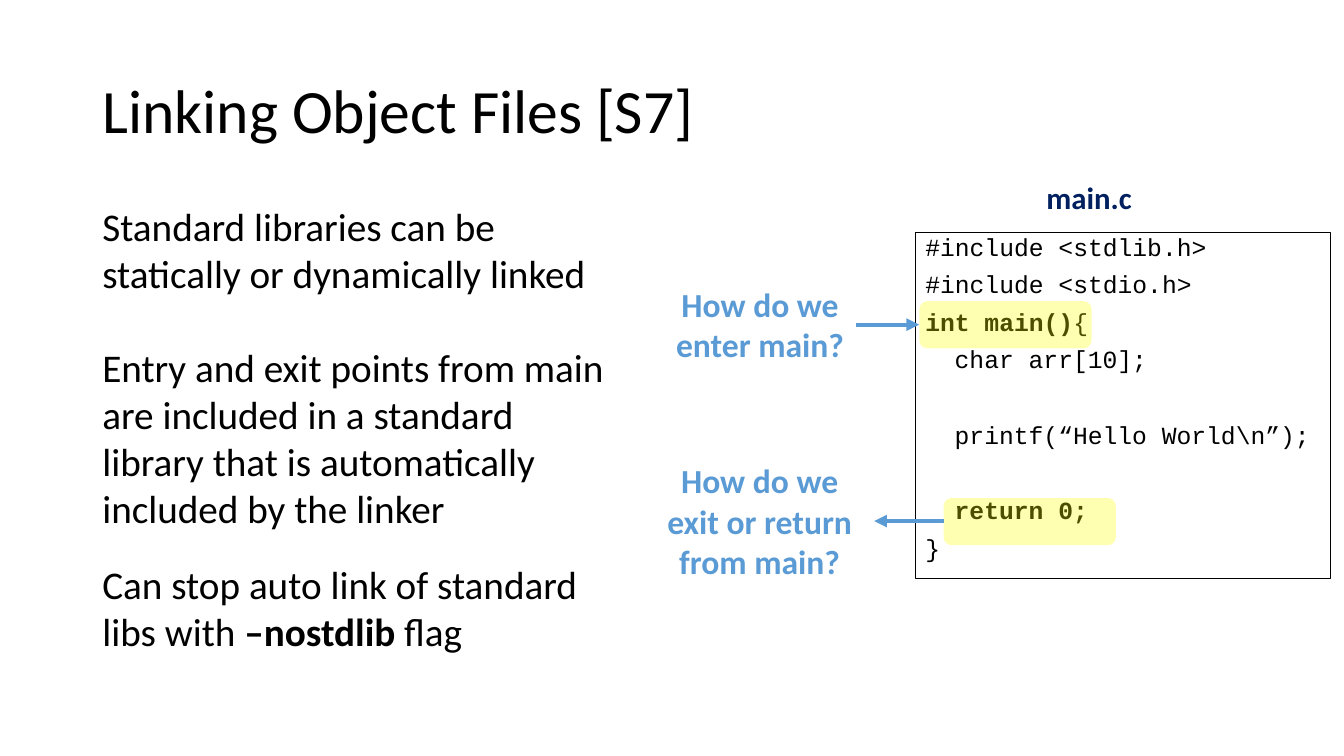
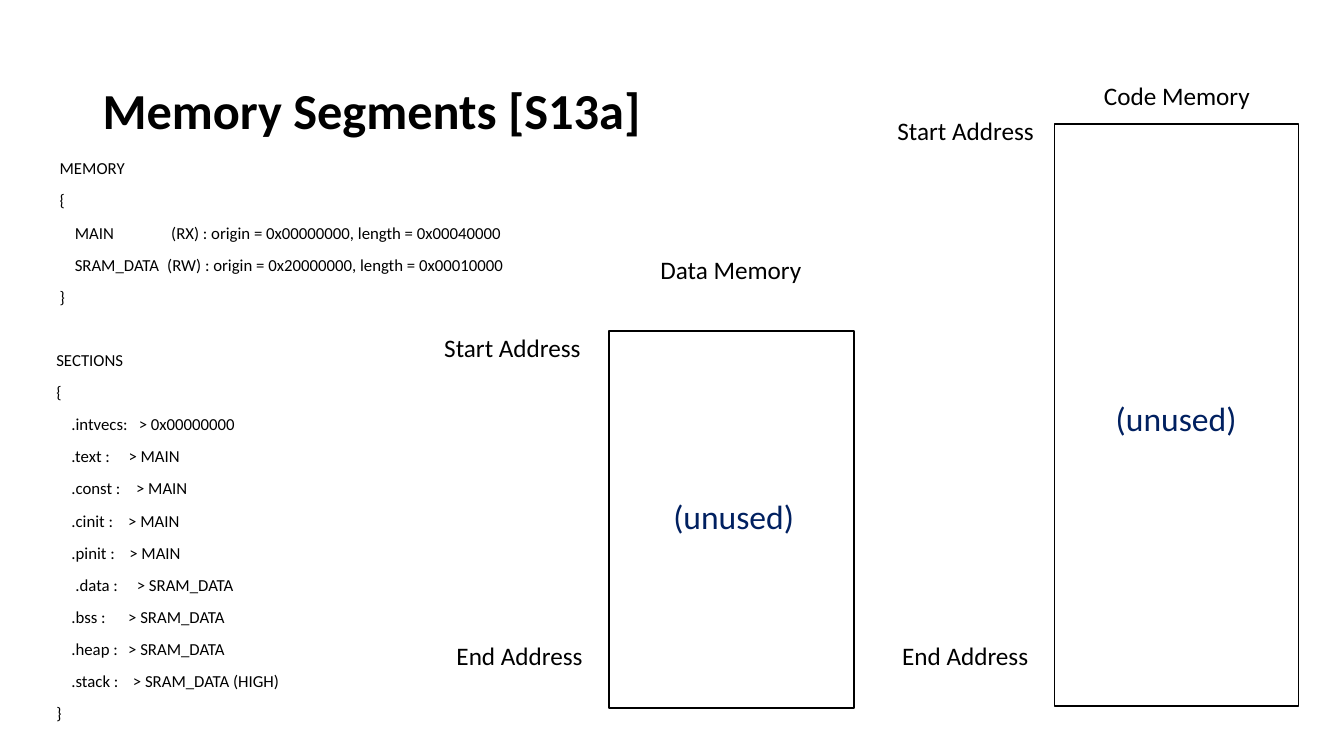
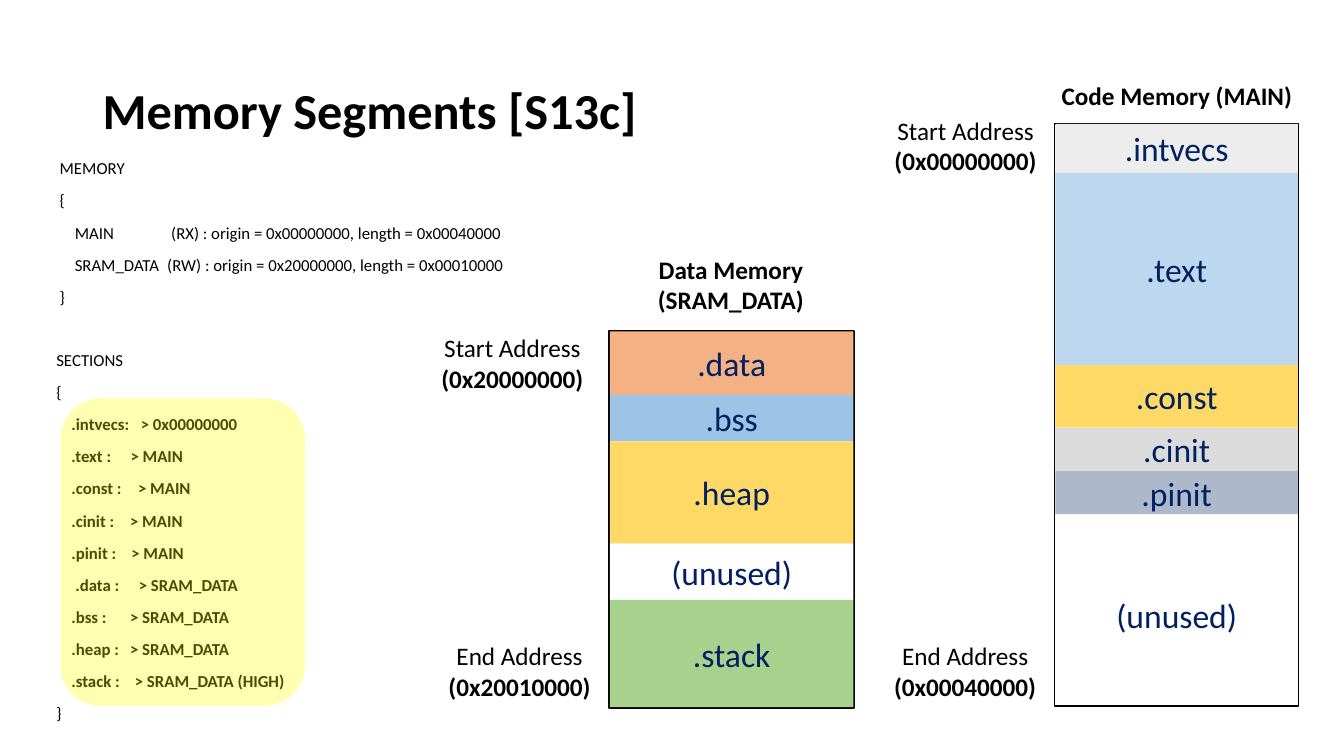
"""Build three slides on linking object files and memory segments."""
from lxml.etree import SubElement
from pptx import Presentation
from pptx.dml.color import RGBColor
from pptx.enum.shapes import MSO_CONNECTOR, MSO_SHAPE
from pptx.enum.text import MSO_ANCHOR, MSO_AUTO_SIZE, PP_ALIGN
from pptx.oxml.ns import qn
from pptx.util import Cm, Pt

COLORS = {
    "black": "000000", "white": "FFFFFF", "navy": "002060", "blue": "5B9BD5",
    "yellow": "FFFF00", "orange": "F4B183", "sky": "9DC3E6", "gold": "FFD966",
    "green": "A9D18E", "pale blue": "BDD7EE", "pale gray": "EDEDED",
    "gray": "DBDBDB", "slate": "ADB9CA",
}
CENTER = PP_ALIGN.CENTER


def write(frame, text, size=18, color="black", bold=False, font="Calibri",
          align=PP_ALIGN.LEFT, spacing=None, before=0, indent=0, hang=0):
    """Add a paragraph of a string or (text, bold) pairs; a tab leads to the hang."""
    paragraph = frame.add_paragraph() if frame.text else frame.paragraphs[0]
    paragraph.alignment = align
    paragraph.space_before = Pt(before)
    if spacing:
        paragraph.line_spacing = spacing
    margin = Cm(hang or indent)
    properties = paragraph._p.get_or_add_pPr()
    properties.set("marL", str(margin))
    properties.set("indent", str(Cm(indent) - margin))
    SubElement(properties, qn("a:buNone"))
    for words, strong in [(text, bold)] if isinstance(text, str) else text:
        span = paragraph.add_run()
        span.text = words
        span.font.name = font
        span.font.size = Pt(size)
        span.font.bold = strong
        span.font.color.rgb = RGBColor.from_string(COLORS[color])


def add_box(page, left, top, width, height, shape=None, fill=None, line=None,
            opacity=None, anchor=MSO_ANCHOR.TOP):
    """Add a text box, or a preset shape with the given fill and line."""
    place = [Cm(length) for length in (left, top, width, height)]
    if shape is None:
        box = page.shapes.add_textbox(*place)
    else:
        box = page.shapes.add_shape(shape, *place)
        box.shadow.inherit = False
        if fill:
            box.fill.solid()
            box.fill.fore_color.rgb = RGBColor.from_string(COLORS[fill])
        else:
            box.fill.background()
        if line:
            box.line.color.rgb = RGBColor.from_string(COLORS["black"])
            box.line.width = Pt(line)
        else:
            box.line.fill.background()
    if opacity:
        tint = box.element.spPr.find(qn("a:solidFill"))[0]
        SubElement(tint, qn("a:alpha"), val=str(opacity * 1000))
    box.text_frame.word_wrap = True
    box.text_frame.vertical_anchor = anchor
    return box


deck = Presentation()
deck.slide_width, deck.slide_height = Cm(33.87), Cm(19.05)

pages = []
for text, layout, size, bold in (
    ("Linking Object Files [S7]", 5, 44, False),
    ("Memory Segments [S13a]", 1, 36, True),
    ("Memory Segments [S13c]", 1, 36, True),
):
    page = deck.slides.add_slide(deck.slide_layouts[layout])
    title = page.shapes.title
    title.left, title.top, title.width, title.height = Cm(2.33), Cm(1.01), Cm(29.21), Cm(3.68)
    title.text_frame.vertical_anchor = MSO_ANCHOR.MIDDLE
    write(title.text_frame, text, size=size, bold=bold, spacing=0.9)
    pages.append(page)

linking = pages[0]
for top, height, text in (
    (4.98, 2.64, "Standard libraries can be statically or dynamically linked"),
    (8.52, 5.05, "Entry and exit points from main are included in a standard "
                 "library that is automatically included by the linker"),
    (14, 2.64, [("Can stop auto link of standard libs with ", False),
                ("–nostdlib ", True), ("flag", False)]),
):
    write(add_box(linking, 2.33, top, 13.26, height).text_frame, text, size=28)

file_label = add_box(linking, 26.1, 4.37, 2.69, 1.19)
file_label.text_frame.word_wrap = False
write(file_label.text_frame, "main.c", size=22, color="navy", bold=True, align=CENTER)

code = add_box(linking, 23.07, 5.85, 10.46, 8.74, shape=MSO_SHAPE.RECTANGLE, line=0.75)
for text, before, indent in (
    ("#include <stdlib.h>", 10, 0),
    ("#include <stdio.h>", 10, 0),
    ([("int main()", True), ("{", False)], 10, 0),
    ("char arr[10];", 10, 0.74),
    ("printf(“Hello World\\n”);", 37, 0.74),
    ([("return 0;", True)], 37, 0.74),
    ("}", 10, 0),
):
    write(code.text_frame, text, size=17.6, font="Courier New", spacing=0.8,
          before=before, indent=indent)

for left, top, width, height, text in (
    (16.74, 7.02, 4.83, 2.31, "How do we enter main?"),
    (16.26, 11.47, 5.77, 3.33, "How do we exit or return from main?"),
):
    question = add_box(linking, left, top, width, height)
    write(question.text_frame, text, size=24, color="blue", bold=True, align=CENTER)

for left, top in ((23.17, 7.59), (23.78, 12.55)):
    add_box(linking, left, top, 4.34, 1.19, shape=MSO_SHAPE.ROUNDED_RECTANGLE,
            fill="yellow", opacity=30)

for start, end, height in ((21.56, 23.16, 8.18), (23.78, 22.03, 13.13)):
    arrow = linking.shapes.add_connector(
        MSO_CONNECTOR.STRAIGHT, Cm(start), Cm(height), Cm(end), Cm(height))
    arrow.line.color.rgb = RGBColor.from_string(COLORS["blue"])
    arrow.line.width = Pt(3)
    SubElement(arrow.line._get_or_add_ln(), qn("a:tailEnd"), type="triangle")
    SubElement(arrow.element.spPr, qn("a:effectLst"))

memory_lines = (
    ("MEMORY", 0, 0),
    ("{", 0, 0),
    ("MAIN\t(RX) : origin = 0x00000000, length = 0x00040000", 0.38, 2.81),
    ("SRAM_DATA\t(RW) : origin = 0x20000000, length = 0x00010000", 0.38, 2.71),
    ("}", 0, 0),
)
section_lines = (
    (".intvecs:", "0x00000000", 0.38, 2.08),
    (".text :", "MAIN", 0.38, 1.82),
    (".const :", "MAIN", 0.38, 2.01),
    (".cinit :", "MAIN", 0.38, 1.81),
    (".pinit :", "MAIN", 0.38, 1.84),
    (".data :", "SRAM_DATA", 0.48, 2.03),
    (".bss :", "SRAM_DATA", 0.38, 1.81),
    (".heap :", "SRAM_DATA", 0.38, 1.81),
    (".stack :", "SRAM_DATA (HIGH)", 0.38, 1.93),
)
outlines = ((26.58, 3.13, 6.15, 14.66), (15.35, 8.34, 6.17, 9.5))
headings = (
    (26.32, 1.91, 6.68, "Code Memory", " (MAIN)"),
    (15.7, 6.28, 5.44, "Data Memory", " (SRAM_DATA)"),
)
addresses = (
    (10.3, 8.26, "Start Address", "(0x20000000)"),
    (21.72, 2.77, "Start Address", "(0x00000000)"),
    (21.71, 16.02, "End Address", "(0x00040000)"),
    (10.48, 16.02, "End Address", "(0x20010000)"),
)

for page, mapped in zip(pages[1:], (False, True)):
    for outline in outlines:
        add_box(page, *outline, shape=MSO_SHAPE.RECTANGLE, line=1)
    for left, top, width, text, region in headings:
        heading = add_box(page, left, top, width, 1.8 if mapped else 1.02)
        write(heading.text_frame, text + region if mapped else text,
              bold=mapped, align=CENTER)
    for left, top, text, value in addresses:
        address = add_box(page, left, top, 5.23, 1.8 if mapped else 1.02)
        write(address.text_frame, text, align=CENTER)
        if mapped:
            write(address.text_frame, value, bold=True, align=CENTER)

    memory = page.placeholders[1]
    memory.left, memory.top, memory.width, memory.height = Cm(1.25), Cm(3.91), Cm(11.99), Cm(4.19)
    memory.text_frame.auto_size = MSO_AUTO_SIZE.NONE
    for text, indent, hang in memory_lines:
        write(memory.text_frame, text, size=12, spacing=0.9, before=10,
              indent=indent, hang=hang)

    sections = add_box(page, 1.17, 8.74, 7.01, 9.83).text_frame
    for text in ("SECTIONS", "{"):
        write(sections, text, size=12, spacing=0.9, before=10)
    for name, target, indent, hang in section_lines:
        write(sections, f"{name}\t> {target}", size=12, bold=mapped, spacing=0.9,
              before=10, indent=indent, hang=hang + 0.05 * mapped)
    write(sections, "}", size=12, spacing=0.9, before=10)

add_box(pages[2], 1.52, 10.04, 6.17, 7.75, shape=MSO_SHAPE.ROUNDED_RECTANGLE,
        fill="yellow", opacity=30)

segment_stacks = (
    (pages[1], 26.59, 10.03, 6.1, (("(unused)", "white", 0.99, 0),)),
    (pages[1], 15.53, 12.55, 5.92, (("(unused)", "white", 0.91, 0),)),
    (pages[2], 26.6, 3.12, 6.11, (
        (".intvecs", "pale gray", 1.23, 0),
        (".text", "pale blue", 4.85, 0),
        (".const", "gold", 1.58, 0),
        (".cinit", "gray", 1.09, 0),
        (".pinit", "slate", 1.09, 0),
        ("(unused)", "white", 3.94, 0.58),
    )),
    (pages[2], 15.37, 8.35, 6.14, (
        (".data", "orange", 1.6, 0),
        (".bss", "sky", 1.17, 0),
        (".heap", "gold", 2.58, 0),
        ("(unused)", "white", 1.42, 0),
        (".stack", "green", 2.7, 0),
    )),
)
for page, left, top, width, segments in segment_stacks:
    for name, fill, height, gap in segments:
        top += gap
        segment = add_box(page, left, top, width, height, shape=MSO_SHAPE.RECTANGLE,
                          fill=fill, anchor=MSO_ANCHOR.MIDDLE)
        write(segment.text_frame, name, size=24, color="navy", align=CENTER)
        top += height

deck.save("out.pptx")
